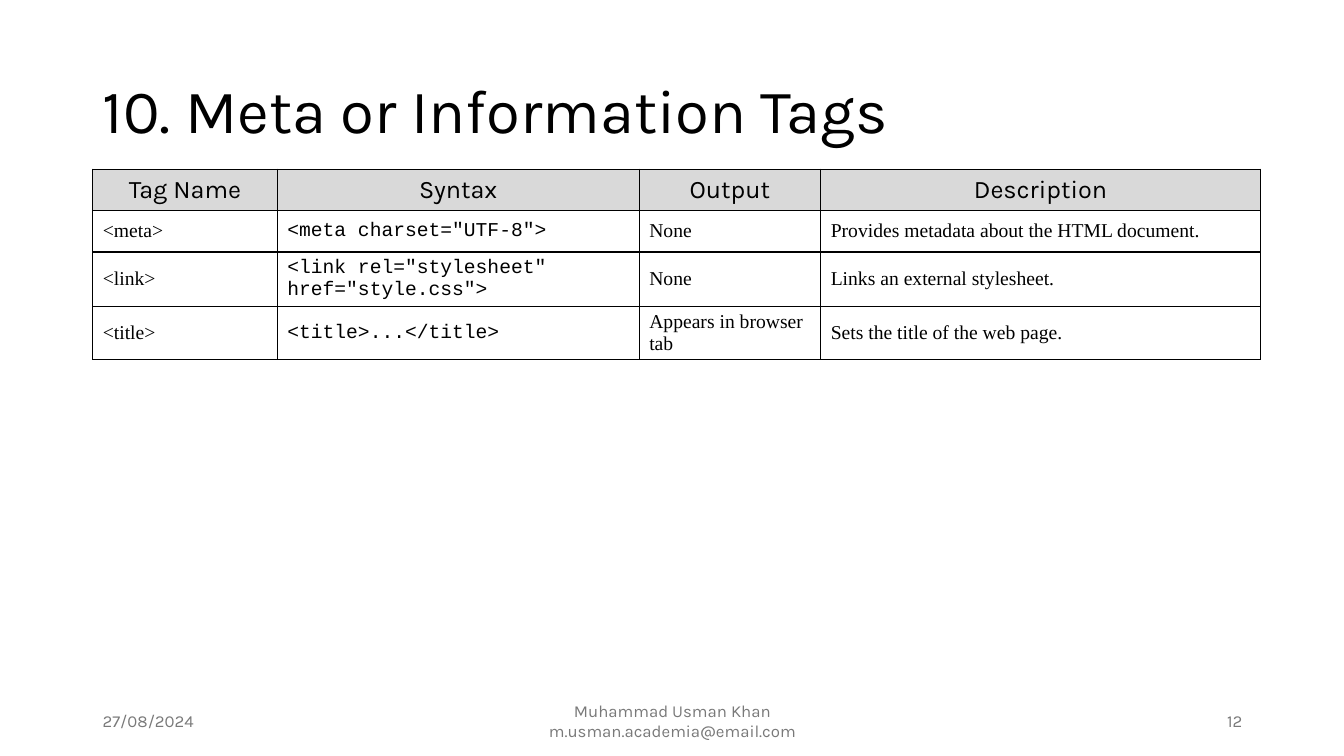
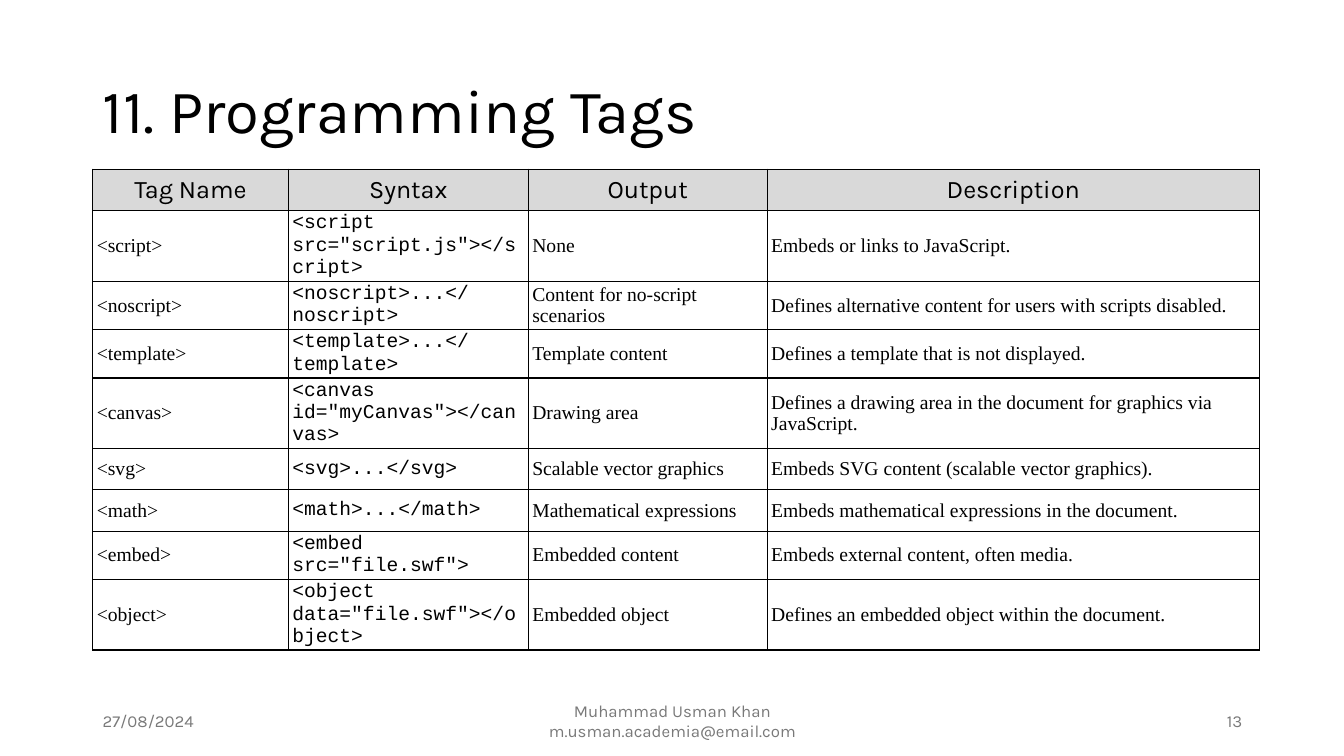
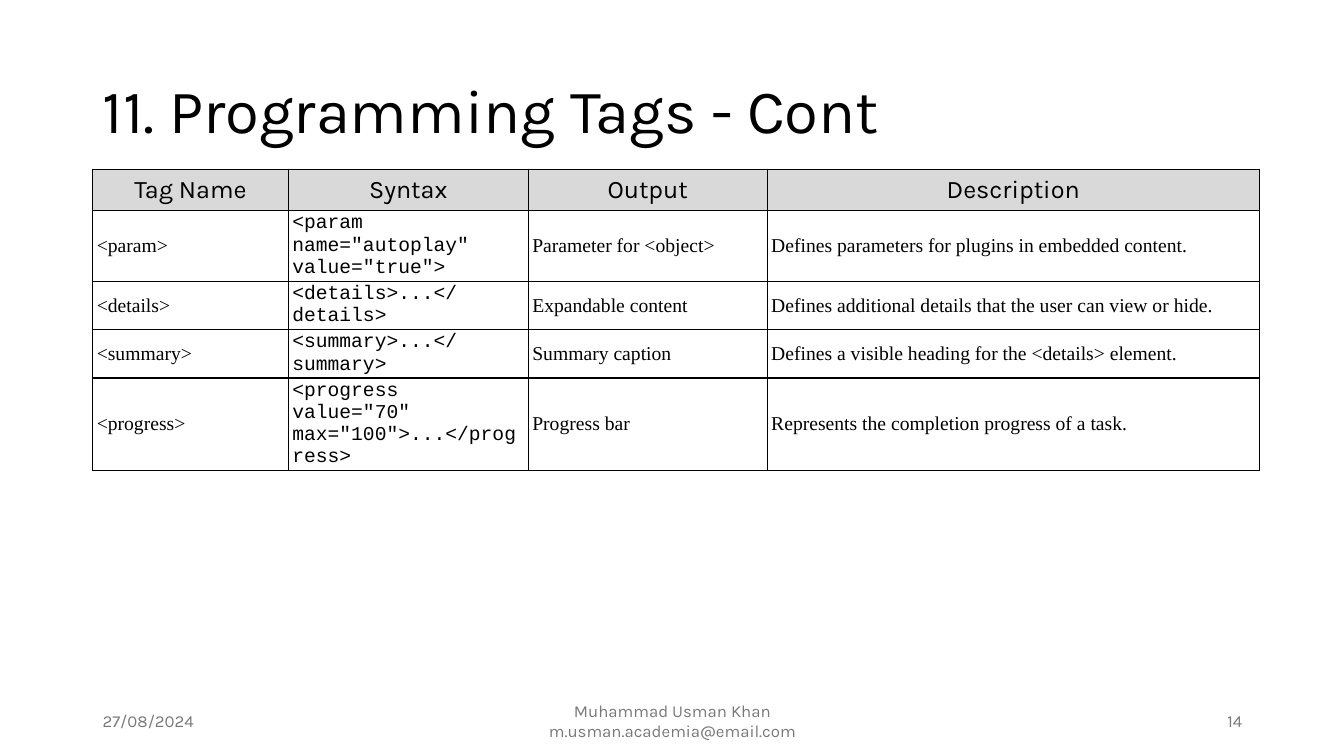
from dataclasses import dataclass

from lxml.etree import SubElement
from pptx import Presentation
from pptx.dml.color import RGBColor
from pptx.enum.text import MSO_ANCHOR, PP_ALIGN
from pptx.oxml.ns import qn
from pptx.util import Inches, Pt

# Shared style
BLACK = RGBColor(0x00, 0x00, 0x00)
WHITE = RGBColor(0xFF, 0xFF, 0xFF)
HEADER_GREY = RGBColor(0xD9, 0xD9, 0xD9)
FOOTER_GREY = RGBColor(0x79, 0x79, 0x79)
HEADING_FONT = "Karla"
BODY_FONT = "Times New Roman"
CODE_FONT = "Courier New"

LEFT = Inches(0.92)
TABLE_TOP = Inches(1.68)
ROW_HEIGHT = Inches(0.41)
BORDER_WIDTH = Pt(1)

HEADINGS = ("Tag Name", "Syntax", "Output", "Description")
SYNTAX_COLUMN = HEADINGS.index("Syntax")
FIRST_PAGE = 12


@dataclass(frozen=True)
class TagSlide:
    title: str
    column_widths: tuple[float, ...]
    tags: tuple[tuple[str, str, str, str], ...]
    tight: bool = True


@dataclass(frozen=True)
class FooterPart:
    text: str
    left: float
    width: float
    align: PP_ALIGN


FOOTER = (
    FooterPart("27/08/2024", 0.92, 3, PP_ALIGN.LEFT),
    FooterPart("Muhammad Usman Khan m.usman.academia@email.com", 4.42, 4.5, PP_ALIGN.CENTER),
    FooterPart("{page}", 9.42, 3, PP_ALIGN.RIGHT),
)

PROGRAMMING_WIDTHS = (1.94, 2.38, 2.37, 4.88)

# Content
SLIDES = (
    TagSlide(
        "10. Meta or Information Tags",
        (1.83, 3.59, 1.8, 4.36),
        (
            ("<meta>", '<meta charset="UTF-8">', "None",
             "Provides metadata about the HTML document."),
            ("<link>", '<link rel="stylesheet" href="style.css">', "None",
             "Links an external stylesheet."),
            ("<title>", "<title>...</title>", "Appears in browser tab",
             "Sets the title of the web page."),
        ),
        tight=False,
    ),
    TagSlide(
        "11. Programming Tags",
        PROGRAMMING_WIDTHS,
        (
            ("<script>", '<script src="script.js"></script>', "None",
             "Embeds or links to JavaScript."),
            ("<noscript>", "<noscript>...</noscript>", "Content for no-script scenarios",
             "Defines alternative content for users with scripts disabled."),
            ("<template>", "<template>...</template>", "Template content",
             "Defines a template that is not displayed."),
            ("<canvas>", '<canvas id="myCanvas"></canvas>', "Drawing area",
             "Defines a drawing area in the document for graphics via JavaScript."),
            ("<svg>", "<svg>...</svg>", "Scalable vector graphics",
             "Embeds SVG content (scalable vector graphics)."),
            ("<math>", "<math>...</math>", "Mathematical expressions",
             "Embeds mathematical expressions in the document."),
            ("<embed>", '<embed src="file.swf">', "Embedded content",
             "Embeds external content, often media."),
            ("<object>", '<object data="file.swf"></object>', "Embedded object",
             "Defines an embedded object within the document."),
        ),
    ),
    TagSlide(
        "11. Programming Tags - Cont",
        PROGRAMMING_WIDTHS,
        (
            ("<param>", '<param name="autoplay" value="true">', "Parameter for <object>",
             "Defines parameters for plugins in embedded content."),
            ("<details>", "<details>...</details>", "Expandable content",
             "Defines additional details that the user can view or hide."),
            ("<summary>", "<summary>...</summary>", "Summary caption",
             "Defines a visible heading for the <details> element."),
            ("<progress>", '<progress value="70" max="100">...</progress>', "Progress bar",
             "Represents the completion progress of a task."),
        ),
    ),
)


def write(frame, text: str, font: str, size: float, color: RGBColor = BLACK,
          align: PP_ALIGN = PP_ALIGN.LEFT) -> None:
    """Put one formatted paragraph into a text frame."""
    frame.text = text
    frame.word_wrap = True
    paragraph = frame.paragraphs[0]
    paragraph.alignment = align
    style = paragraph.runs[0].font
    style.name, style.size, style.bold = font, Pt(size), False
    style.color.rgb = color


def add_borders(cell) -> None:
    properties = cell._tc.get_or_add_tcPr()
    for side in ("a:lnL", "a:lnR", "a:lnT", "a:lnB"):
        border = SubElement(properties, qn(side), w=str(BORDER_WIDTH))
        fill = SubElement(border, qn("a:solidFill"))
        SubElement(fill, qn("a:srgbClr"), val=str(BLACK))


def format_cell(cell, fill: RGBColor) -> None:
    add_borders(cell)
    cell.fill.solid()
    cell.fill.fore_color.rgb = fill
    cell.vertical_anchor = MSO_ANCHOR.MIDDLE


def add_title(slide, text: str) -> None:
    title = slide.shapes.title
    title.left, title.top = LEFT, Inches(0.4)
    title.width, title.height = Inches(11.5), Inches(1.45)
    write(title.text_frame, text, HEADING_FONT, 44)
    title.text_frame.vertical_anchor = MSO_ANCHOR.MIDDLE
    title.text_frame.paragraphs[0].line_spacing = 0.9


def add_tag_table(slide, content: TagSlide) -> None:
    row_count = len(content.tags) + 1
    table = slide.shapes.add_table(
        row_count, len(HEADINGS), LEFT, TABLE_TOP,
        Inches(sum(content.column_widths)), ROW_HEIGHT * row_count).table
    table.horz_banding = False
    for column, width in zip(table.columns, content.column_widths):
        column.width = Inches(width)

    # Heading row
    for cell, heading in zip(table.rows[0].cells, HEADINGS):
        format_cell(cell, HEADER_GREY)
        write(cell.text_frame, heading, HEADING_FONT, 18, align=PP_ALIGN.CENTER)

    # One row for each tag
    for row, tag in enumerate(content.tags, start=1):
        for column, text in enumerate(tag):
            cell = table.cell(row, column)
            format_cell(cell, WHITE)
            font = CODE_FONT if column == SYNTAX_COLUMN else BODY_FONT
            write(cell.text_frame, text, font, 14)
            if content.tight:
                cell.margin_left = cell.margin_right = Inches(0.04)
                cell.margin_top = cell.margin_bottom = Inches(0.02)


def add_footer(slide, page: int) -> None:
    for part in FOOTER:
        box = slide.shapes.add_textbox(
            Inches(part.left), Inches(6.95), Inches(part.width), Inches(0.4))
        box.text_frame.vertical_anchor = MSO_ANCHOR.MIDDLE
        write(box.text_frame, part.text.format(page=page), HEADING_FONT, 12,
              FOOTER_GREY, part.align)


def main() -> None:
    deck = Presentation()
    deck.slide_width, deck.slide_height = Inches(13.33), Inches(7.5)
    title_only = deck.slide_layouts.get_by_name("Title Only")
    for page, content in enumerate(SLIDES, start=FIRST_PAGE):
        slide = deck.slides.add_slide(title_only)
        add_title(slide, content.title)
        add_tag_table(slide, content)
        add_footer(slide, page)
    deck.save("out.pptx")


if __name__ == "__main__":
    main()
